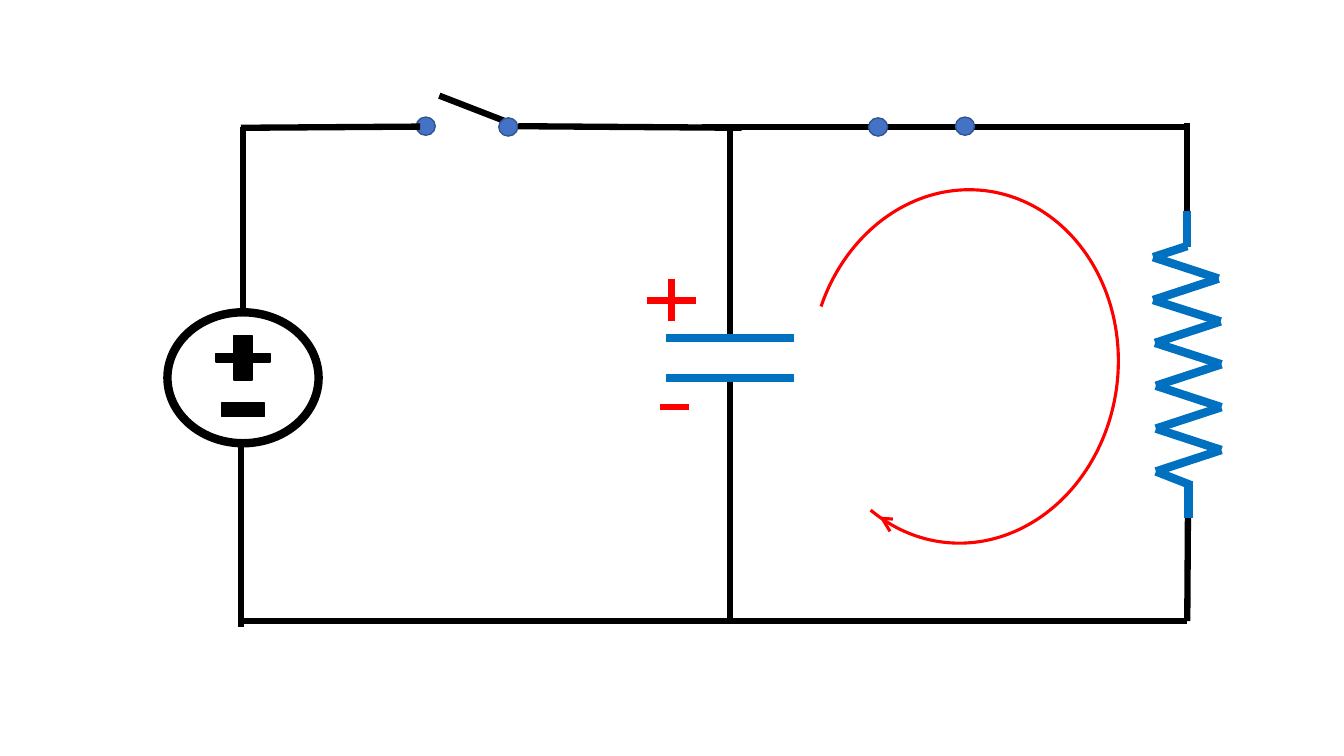
"""Build a slide showing a capacitor discharging through a resistor."""
from lxml.etree import SubElement
from pptx import Presentation
from pptx.dml.color import RGBColor
from pptx.enum.shapes import MSO_CONNECTOR, MSO_SHAPE
from pptx.oxml.ns import qn
from pptx.util import Cm, Pt

COLORS = {"wire": "000000", "part": "0070C0", "current": "FF0000",
          "terminal": "4472C4", "terminal_edge": "325491"}


def add_line(shapes, x1, y1, x2, y2, color="wire", width=4.5):
    ln = shapes.add_connector(MSO_CONNECTOR.STRAIGHT, Cm(x1), Cm(y1), Cm(x2), Cm(y2))
    ln.line.color.rgb = RGBColor.from_string(COLORS[color])
    ln.line.width = Pt(width)
    SubElement(ln._element.spPr, qn("a:effectLst"))


def add_outline(shapes, kind, x, y, w, h, fill=None, line="wire", width=1):
    sp = shapes.add_shape(kind, Cm(x), Cm(y), Cm(w), Cm(h))
    sp.shadow.inherit = False
    if fill:
        sp.fill.solid()
        sp.fill.fore_color.rgb = RGBColor.from_string(COLORS[fill])
    else:
        sp.fill.background()
    sp.line.color.rgb = RGBColor.from_string(COLORS[line])
    sp.line.width = Pt(width)
    return sp


prs = Presentation()
prs.slide_width, prs.slide_height = Cm(33.87), Cm(19.05)
s = prs.slides.add_slide(prs.slide_layouts[6])

add_line(s.shapes, 11.07, 2.41, 12.98, 3.15)

source = s.shapes.add_group_shape().shapes
add_outline(source, MSO_SHAPE.OVAL, 4.22, 7.87, 3.81, 3.3, width=6)
plus = add_outline(source, MSO_SHAPE.CROSS, 5.44, 8.46, 1.37, 1.12, fill="wire")
plus.adjustments[0] = 0.406
add_outline(source, MSO_SHAPE.RECTANGLE, 5.59, 10.16, 1.07, 0.33, fill="wire")

top, bottom, middle = 3.2, 15.65, 18.39
for wire in [
    (17.68, top, 30, top),
    (6.07, bottom, 29.92, bottom),
    (6.12, top, 6.12, 7.87),
    (6.07, 11.2, 6.07, 15.8),
    (middle, 3.12, middle, 8.46),
    (middle, 9.53, middle, bottom),
]:
    add_line(s.shapes, *wire)

capacitor = s.shapes.add_group_shape().shapes
for y in (8.51, 9.53):
    add_line(capacitor, 16.79, y, 20.02, y, "part", 6)

for x, y in [(10.49, 2.95), (12.57, 2.97), (21.89, 2.97), (24.08, 2.95)]:
    add_outline(s.shapes, MSO_SHAPE.OVAL, x, y, 0.48, 0.46, "terminal", "terminal_edge")

for lead in [
    (6.07, 3.22, 10.59, 3.19),
    (13.06, 3.18, 18.69, 3.22),
    (29.92, 3.1, 29.92, 5.31),
    (29.94, 12.57, 29.92, bottom),
]:
    add_line(s.shapes, *lead)

resistor = s.shapes.add_group_shape().shapes
zigzag_x = [29.06, 30.71, 29.06, 30.76, 29.11, 30.78, 29.13, 30.78, 29.13, 30.78, 29.13]
zigzag = [(x, 6.48 + 0.54 * i) for i, x in enumerate(zigzag_x)]
points = [(29.92, 6.2)] + zigzag + [(30, 12.22)]
for start, end in zip(points, points[1:]):
    add_line(resistor, *start, *end, "part", 6)
add_line(resistor, 29.92, 5.31, 29.92, 6.22, "part", 6)
add_line(resistor, 29.95, 12.12, 29.95, 13.06, "part", 6)

current = s.shapes.add_group_shape().shapes
for x, y in [(22.5, 13.08), (22.43, 13.39)]:
    add_line(current, x, y, 22.23, 13.06, "current", 2.25)
arc = add_outline(current, MSO_SHAPE.ARC, 19.84, 5.36, 8.92, 7.75, line="current", width=2.25)
arc.adjustments[0], arc.adjustments[1] = 92.046, 44.274
arc.rotation = 276.5
arc._element.spPr.find(qn("a:xfrm")).set("flipV", "1")

polarity = s.shapes.add_group_shape().shapes
add_line(polarity, 16.31, 7.57, 17.53, 7.57, "current")
add_line(polarity, 16.92, 8.1, 16.92, 7.04, "current")
add_line(s.shapes, 16.64, 10.26, 17.37, 10.26, "current")

prs.save("out.pptx")
